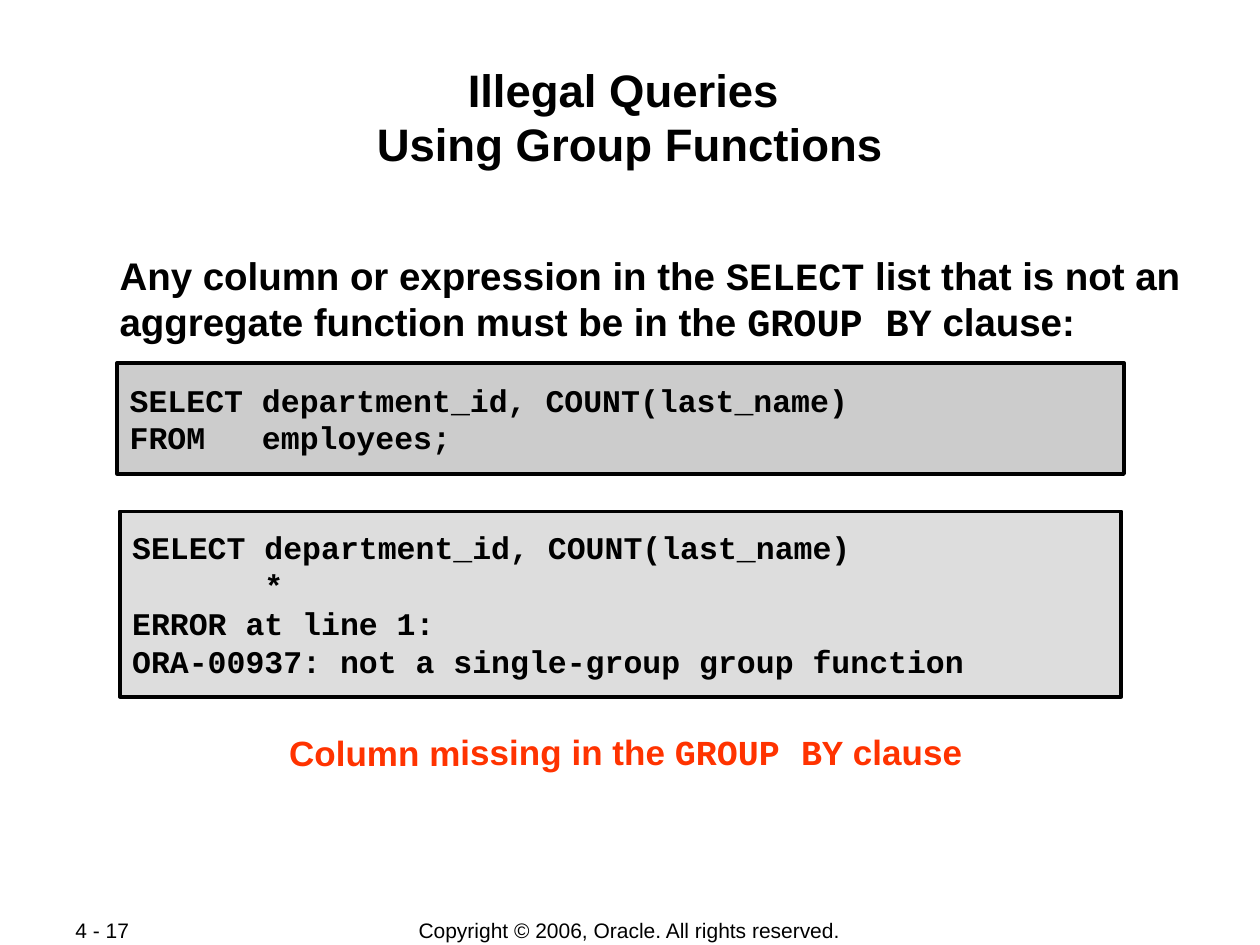
from dataclasses import dataclass
from pptx import Presentation
from pptx.dml.color import RGBColor
from pptx.enum.shapes import MSO_SHAPE
from pptx.enum.text import MSO_ANCHOR, MSO_AUTO_SIZE, PP_ALIGN
from pptx.shapes.autoshape import Shape
from pptx.slide import Slide
from pptx.util import Pt

BLACK = RGBColor(0x00, 0x00, 0x00)
WHITE = RGBColor(0xFF, 0xFF, 0xFF)
RED = RGBColor(0xFF, 0x33, 0x00)
GRAY = RGBColor(0xCC, 0xCC, 0xCC)
LIGHT = RGBColor(0xDD, 0xDD, 0xDD)
SANS = "Arial"
MONO = "Courier New"


@dataclass
class Box:
    left: float
    top: float
    width: float
    height: float


@dataclass
class Style:
    size: float
    bold: bool = True
    color: RGBColor = BLACK
    name: str = SANS
    align: PP_ALIGN = PP_ALIGN.LEFT
    anchor: MSO_ANCHOR = MSO_ANCHOR.TOP
    wrap: bool = True
    inset: tuple[float, float] = (7.2, 3.6)


@dataclass
class Label:
    box: Box
    style: Style
    words: list[str]
    turn: float = 0


@dataclass
class Code:
    box: Box
    fill: RGBColor
    lines: list[str]


QUERY = "SELECT department_id, COUNT(last_name)"
TIGHT = (0.72, 0.72)
HEAD = Style(26, align=PP_ALIGN.CENTER, inset=TIGHT)
LISTING = Style(18, name=MONO, anchor=MSO_ANCHOR.MIDDLE, wrap=False)

LABELS = [
    Label(Box(198, 524.2, 323.3, 15),
          Style(12, False, align=PP_ALIGN.CENTER, anchor=MSO_ANCHOR.MIDDLE, wrap=False),
          ["Copyright © 2006, Oracle. All rights reserved."]),
    Label(Box(36, 524.2, 76.3, 14.4),
          Style(12, False, align=PP_ALIGN.JUSTIFY, anchor=MSO_ANCHOR.MIDDLE, wrap=False),
          ["4 - 17"]),
    Label(Box(67.7, 143.3, 623.5, 54.7), Style(22, inset=TIGHT),
          ["Any column or expression in the ", "SELECT",
           " list that is not an aggregate function must be in the ",
           "GROUP BY", " clause:"]),
    Label(Box(97.2, 414, 520.6, 31),
          Style(20, color=RED, align=PP_ALIGN.CENTER),
          ["Column missing in the ", "GROUP BY", " clause"], 359.9),
]

CODES = [
    Code(Box(67, 207.4, 575.3, 63.4), GRAY, [QUERY, "FROM   employees;"]),
    Code(Box(68.4, 292.3, 572.4, 105.8), LIGHT,
         [QUERY, "       *", "ERROR at line 1:",
          "ORA-00937: not a single-group group function"]),
]


def place(shape: Shape, box: Box) -> None:
    shape.left, shape.top = Pt(box.left), Pt(box.top)
    shape.width, shape.height = Pt(box.width), Pt(box.height)


def dress(shape: Shape, style: Style) -> None:
    frame = shape.text_frame
    frame.auto_size = MSO_AUTO_SIZE.NONE
    frame.word_wrap = style.wrap
    frame.vertical_anchor = style.anchor
    side, edge = style.inset
    frame.margin_left = frame.margin_right = Pt(side)
    frame.margin_top = frame.margin_bottom = Pt(edge)
    for para in frame.paragraphs:
        para.alignment = style.align
        font = para.font
        font.name, font.size, font.bold = style.name, Pt(style.size), style.bold
        font.color.rgb = style.color


def add_label(slide: Slide, label: Label) -> None:
    box = label.box
    shape = slide.shapes.add_textbox(
        Pt(box.left), Pt(box.top), Pt(box.width), Pt(box.height))
    shape.rotation = label.turn
    para = shape.text_frame.paragraphs[0]
    for index, text in enumerate(label.words):
        run = para.add_run()
        run.text = text
        if index % 2:
            run.font.name = MONO
    dress(shape, label.style)


def add_code(slide: Slide, code: Code) -> None:
    box = code.box
    shape = slide.shapes.add_shape(
        MSO_SHAPE.RECTANGLE,
        Pt(box.left), Pt(box.top), Pt(box.width), Pt(box.height))
    shape.shadow.inherit = False
    shape.fill.solid()
    shape.fill.fore_color.rgb = code.fill
    shape.line.color.rgb = BLACK
    shape.line.width = Pt(2.25)
    shape.text_frame.text = "\n".join(code.lines)
    dress(shape, LISTING)


def main() -> None:
    deck = Presentation()
    deck.slide_width, deck.slide_height = Pt(720), Pt(540)
    slide = deck.slides.add_slide(deck.slide_layouts[5])
    slide.background.fill.solid()
    slide.background.fill.fore_color.rgb = WHITE
    title = slide.shapes.title
    place(title, Box(48.2, 34.6, 623.5, 69.1))
    title.text_frame.text = "Illegal Queries \vUsing Group Functions"
    dress(title, HEAD)
    for label in LABELS:
        add_label(slide, label)
    for code in CODES:
        add_code(slide, code)
    deck.save("out.pptx")


if __name__ == "__main__":
    main()
